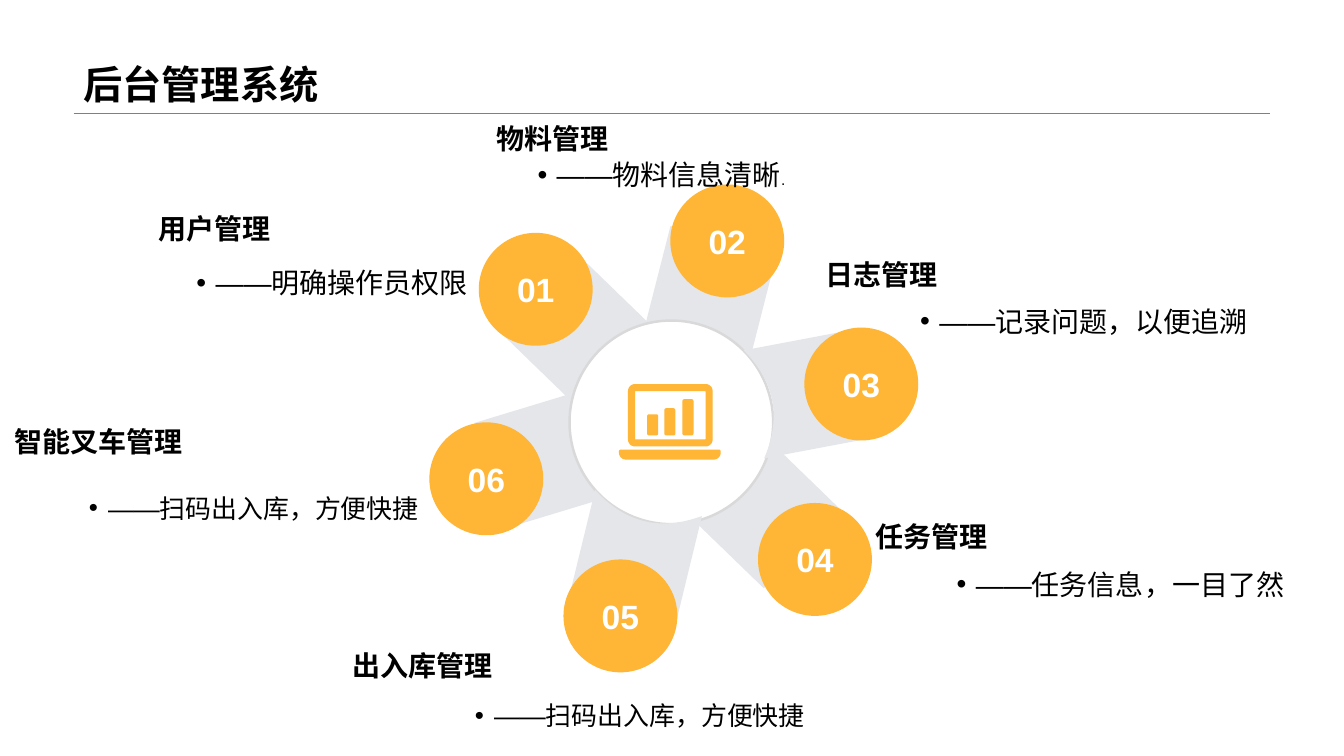
"""Builds the slide on the six modules of the back-office system."""
from math import cos, pi, sin

from lxml import etree
from pptx import Presentation
from pptx.dml.color import RGBColor
from pptx.enum.lang import MSO_LANGUAGE_ID
from pptx.enum.shapes import MSO_CONNECTOR, MSO_SHAPE
from pptx.enum.text import MSO_ANCHOR, PP_ALIGN
from pptx.oxml.ns import qn
from pptx.util import Inches, Pt

OVAL = MSO_SHAPE.OVAL
LINE = MSO_CONNECTOR.STRAIGHT
TOP, MIDDLE, BOTTOM = MSO_ANCHOR.TOP, MSO_ANCHOR.MIDDLE, MSO_ANCHOR.BOTTOM
LEFT, CENTER, RIGHT = PP_ALIGN.LEFT, PP_ALIGN.CENTER, PP_ALIGN.RIGHT
CHINESE = MSO_LANGUAGE_ID.SIMPLIFIED_CHINESE

BLACK = RGBColor(0, 0, 0)
WHITE = RGBColor(0xFF, 0xFF, 0xFF)
AMBER = RGBColor(0xFF, 0xB5, 0x35)
PALE = RGBColor(0xE4, 0xE6, 0xEA)
RIM = RGBColor(0xD9, 0xD9, 0xD9)
GREY = RGBColor(0x80, 0x80, 0x80)

FONT = "Arial"
COLS, ROWS = 133.33, 75
CELL = Inches(0.1)
HALF, NOTCH = 5.45, 1.85

BACK = [(70.45, 29.05, 194.3), (75.65, 50.65, 314.1),
        (53.85, 45.6, 73.1), (57.65, 33.15, 134.1)]
FRONT = [(63.05, 55.2, 13.7), (80.15, 39.1, 259.3)]
DISCS = [("01", 47.5, 23.1), ("02", 66.5, 18.3), ("03", 79.8, 32.5),
         ("04", 75.2, 49.9), ("05", 55.9, 55.5), ("06", 42.6, 41.9)]
HEADS = [("用户管理", (14.7, 20.2, 36.4, 4.8), LEFT),
         ("物料管理", (25, 11.3, 36.4, 4.8), RIGHT),
         ("日志管理", (80.9, 24.8, 36.4, 4.8), LEFT),
         ("任务管理", (62.6, 50.8, 36.4, 4.8), RIGHT),
         ("出入库管理", (13.5, 63.6, 36.4, 4.8), RIGHT),
         ("智能叉车管理", (-11.9, 41, 31, 5.5), RIGHT)]
NOTES = [([("——明确操作员权限", 20)], (18.5, 24.2, 36.4, 9.5), LEFT),
         ([("——物料信息清晰", 20), (".", 11)], (42.5, 13.5, 36.4, 9.5), RIGHT),
         ([("——记录问题，以便追溯", 20)], (90.3, 28, 36.4, 9.5), LEFT),
         ([("——任务信息，一目了然", 20)], (92, 54.1, 36.4, 9.5), RIGHT),
         ([("——扫码出入库，方便快捷", 18.5)], (44.4, 67.4, 36.4, 8.1), RIGHT),
         ([("——扫码出入库，方便快捷", 18.5)], (6.1, 46.8, 36.4, 8.1), RIGHT)]
ICON = [(61.4, 44.6, 71.5, 45.6, 0.2, 0.7),
        (62.3, 38.1, 70.7, 44.3, 0.7, 0.7),
        (63, 38.8, 70, 43.6, 0.05, 0.05),
        (64.2, 41.1, 65.3, 43.2, 0.2, 0.2),
        (65.9, 40.5, 67, 43.2, 0.2, 0.2),
        (67.7, 39.6, 68.8, 43.2, 0.2, 0.2)]


def grid(*cells):
    return [round(cell * CELL) for cell in cells]


def write(shape, runs, *, bold=False, color=BLACK, align=LEFT, anchor=TOP,
          space=None, bullet=False, wrap=True):
    frame = shape.text_frame
    frame.word_wrap = wrap
    frame.vertical_anchor = anchor
    para = frame.paragraphs[0]
    para.alignment = align
    if space:
        para.line_spacing = space
    if bullet:
        props = para._p.get_or_add_pPr()
        props.set("marL", str(Inches(0.19)))
        props.set("indent", str(-Inches(0.19)))
        etree.SubElement(props, qn("a:buFont"), typeface=FONT)
        etree.SubElement(props, qn("a:buChar"), char="•")
    for words, size in runs:
        run = para.add_run()
        run.text = words
        font = run.font
        font.size, font.bold, font.name = Pt(size), bold, FONT
        font.color.rgb = color
        font.language_id = CHINESE
        etree.SubElement(run._r.get_or_add_rPr(), qn("a:ea"), typeface=FONT)


def curve(left, top, right, foot, upper, lower):
    """Trace a box with rounded corners."""
    spots = [(right - lower, foot - lower, lower), (left + lower, foot - lower, lower),
             (left + upper, top + upper, upper), (right - upper, top + upper, upper)]
    return [(x + rad * cos((turn + step / 6) * pi / 2),
             y + rad * sin((turn + step / 6) * pi / 2))
            for turn, (x, y, rad) in enumerate(spots) for step in range(7)]


class Board:
    """Holds the style and the current slide."""

    def __init__(self, deck):
        self.slide = deck.slides.add_slide(deck.slide_layouts[6])
        self.shapes = self.slide.shapes

    def paint(self, shape, fill, rim=None):
        shape.shadow.inherit = False
        shape.fill.solid()
        shape.fill.fore_color.rgb = fill
        if rim:
            shape.line.color.rgb = rim
            shape.line.width = Pt(1.75)
        else:
            shape.line.fill.background()
        return shape

    def rule(self, *ends):
        line = self.shapes.add_connector(LINE, *grid(*ends))
        line.line.color.rgb = GREY
        line.line.width = Pt(0.25)
        etree.SubElement(line._element.spPr, qn("a:effectLst"))

    def text(self, box, runs, **style):
        write(self.shapes.add_textbox(*grid(*box)), runs, **style)

    def disc(self, box, fill, rim=None):
        return self.paint(self.shapes.add_shape(OVAL, *grid(*box)), fill, rim)

    def badge(self, label, x, y):
        write(self.disc((x, y, 11.3, 11.2), AMBER), [(label, 24)],
              bold=True, color=WHITE, align=CENTER, anchor=MIDDLE)

    def outline(self, loops, fill):
        pen = self.shapes.build_freeform(*grid(*loops[0][0]))
        for turn, loop in enumerate(loops):
            if turn:
                pen.move_to(*grid(*loop[0]))
            pen.add_line_segments([grid(*spot) for spot in loop[1:]], close=True)
        return self.paint(pen.convert_to_shape(), fill)

    def petal(self, x, y, angle):
        steps = [step / 10 for step in range(-10, 11)]
        edge = [(x + HALF * t, y - HALF + NOTCH * (1 - t * t)) for t in steps]
        foot = [(x + HALF, y + HALF), (x - HALF, y + HALF)]
        self.outline([edge + foot], PALE).rotation = angle


def main():
    deck = Presentation()
    deck.slide_width, deck.slide_height = grid(COLS, ROWS)
    board = Board(deck)
    board.rule(7.3, 11.2, 126, 11.2)
    board.text((7.3, 0, 118.7, 11.2), [("后台管理系统", 28)],
               bold=True, anchor=BOTTOM, space=0.9)
    for spot in BACK:
        board.petal(*spot)
    board.disc((56.5, 31.8, 20.2, 20.2), WHITE, RIM)
    board.outline([curve(*part) for part in ICON], AMBER)
    for spot in FRONT:
        board.petal(*spot)
    for disc in DISCS:
        board.badge(*disc)
    for words, box, align in HEADS:
        board.text(box, [(words, 20)], bold=True, align=align,
                   anchor=MIDDLE, wrap=False)
    for runs, box, align in NOTES:
        board.text(box, runs, align=align, space=1.5, bullet=True)
    deck.save("out.pptx")


if __name__ == "__main__":
    main()
